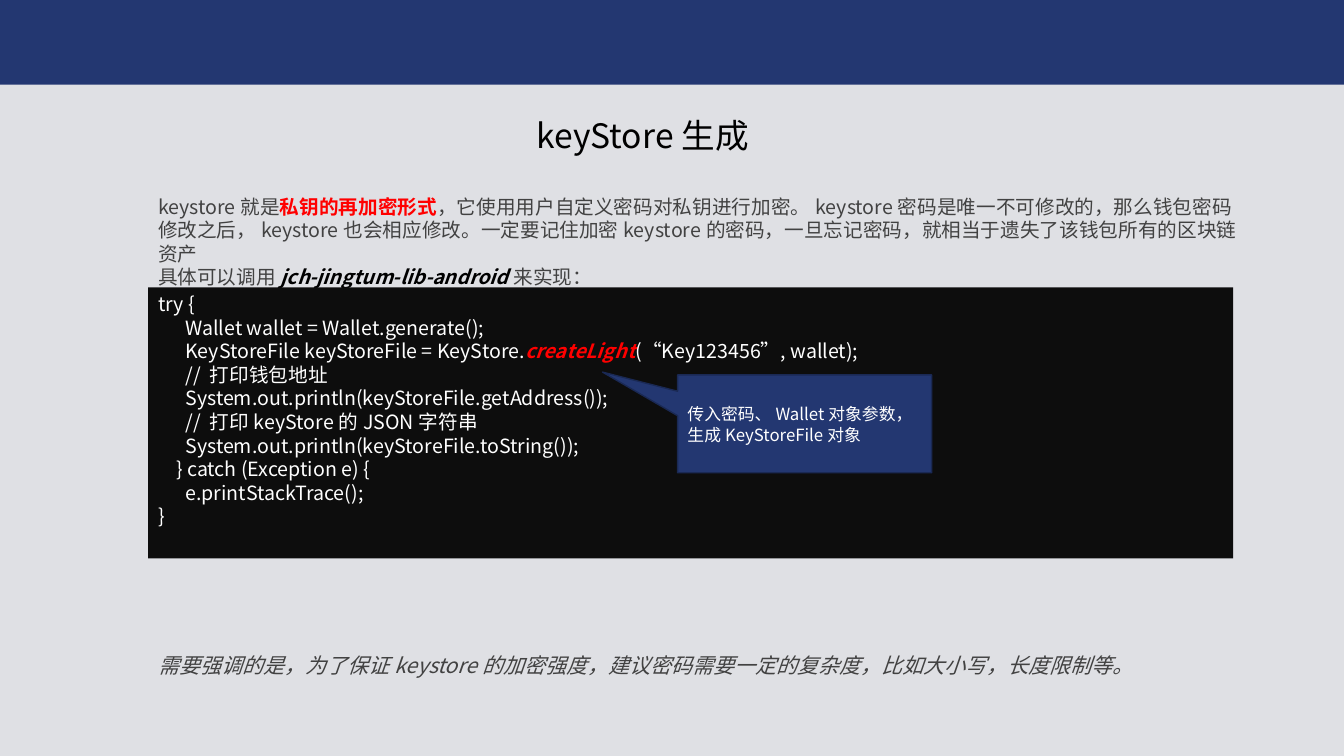
from lxml import etree
from pptx import Presentation
from pptx.dml.color import RGBColor
from pptx.enum.shapes import MSO_SHAPE
from pptx.enum.text import MSO_ANCHOR, PP_ALIGN
from pptx.oxml.ns import qn
from pptx.util import Inches, Pt

RECTANGLE, CALLOUT = MSO_SHAPE.RECTANGLE, MSO_SHAPE.RECTANGULAR_CALLOUT
TOP, MIDDLE = MSO_ANCHOR.TOP, MSO_ANCHOR.MIDDLE
LEFT, CENTER = PP_ALIGN.LEFT, PP_ALIGN.CENTER

FONT = "Noto Sans CJK SC"
NAVY = RGBColor(0x23, 0x37, 0x71)
NAVY_EDGE = RGBColor(0x1A, 0x29, 0x54)
MIST = RGBColor(0xDE, 0xDF, 0xE3)
GREY = RGBColor(0x42, 0x42, 0x42)
RED = RGBColor(0xFF, 0x00, 0x00)
BLACK = RGBColor(0x00, 0x00, 0x00)
CODE_BLACK = RGBColor(0x0D, 0x0D, 0x0D)
WHITE = RGBColor(0xFF, 0xFF, 0xFF)

INTRO = [
    (0, [("keystore就是", {}),
         ("私钥的再加密形式", {"color": RED, "bold": True}),
         ("，它使用用户自定义密码对私钥进行加密。keystore密码是唯一不可修改的，"
          "那么钱包密码修改之后，keystore也会相应修改。一定要记住加密keystore的密码，"
          "一旦忘记密码，就相当于遗失了该钱包所有的区块链资产", {})]),
    (0, [("具体可以调用", {}),
         ("jch-jingtum-lib-android", {"color": BLACK, "bold": True, "italic": True}),
         ("来实现：", {})]),
]
CODE = [
    (0, [("try {", {})]),
    (0.27, [("Wallet wallet = Wallet.generate();", {})]),
    (0.27, [("KeyStoreFile keyStoreFile = KeyStore.", {}),
            ("createLight", {"color": RED, "bold": True, "italic": True}),
            ("(“Key123456”, wallet);", {})]),
    (0.27, [("// 打印钱包地址", {})]),
    (0.27, [("System.out.println(keyStoreFile.getAddress());", {})]),
    (0.27, [("// 打印keyStore的JSON字符串", {})]),
    (0.27, [("System.out.println(keyStoreFile.toString());", {})]),
    (0.18, [("} catch (Exception e) {", {})]),
    (0.27, [("e.printStackTrace();", {})]),
    (0, [("}", {})]),
]
CALLOUT_NOTE = [(0, [("传入密码、Wallet对象参数，生成KeyStoreFile对象", {})])]
TITLE = [(0, [("keyStore生成", {})])]
ADVICE = [(0, [("需要强调的是，为了保证keystore的加密强度，建议密码需要一定的复杂度，"
                "比如大小写，长度限制等。", {"italic": True})])]


def add_span(para, text, size, color, bold=False, italic=False):
    """Add one run with its font for Latin and Chinese text."""
    span = para.add_run()
    span.text = text
    font = span.font
    font.name, font.size, font.bold, font.italic = FONT, Pt(size), bold, italic
    font.color.rgb = color
    east_asian = etree.Element(qn("a:ea"), typeface=FONT)
    font._element.find(qn("a:latin")).addnext(east_asian)


def write(shape, lines, size, color, align=LEFT, anchor=TOP, pitch=1.2):
    """Fill a shape with indented lines of styled runs."""
    frame = shape.text_frame
    frame.word_wrap = True
    frame.vertical_anchor = anchor
    for index, (indent, spans) in enumerate(lines):
        para = frame.add_paragraph() if index else frame.paragraphs[0]
        para.alignment = align
        para.line_spacing = Pt(round(size * pitch, 1))
        if indent:
            para._p.get_or_add_pPr().set("marL", str(Inches(indent)))
        for text, style in spans:
            add_span(para, text, size, **{"color": color, **style})


def add_panel(page, box, fill, kind=RECTANGLE, edge=None):
    """Add a flat filled shape, with an edge if one is given."""
    panel = page.shapes.add_shape(kind, *map(Inches, box))
    panel.shadow.inherit = False
    panel.fill.solid()
    panel.fill.fore_color.rgb = fill
    if edge is None:
        panel.line.fill.background()
    else:
        panel.line.color.rgb = edge
        panel.line.width = Pt(1)
    return panel


def add_text(page, box, lines, size, color, align=LEFT):
    """Add a text box."""
    label = page.shapes.add_textbox(*map(Inches, box))
    write(label, lines, size, color, align)


def add_backdrop(page, box):
    """Add the pale body and the navy band along the top."""
    left, top, width, height = box
    body = add_panel(page, (left, top + 0.67, width, height - 0.67), MIST)
    color = body.fill._xPr.find(qn("a:solidFill"))[0]
    etree.SubElement(color, qn("a:alpha"), val="96000")
    add_panel(page, (left, top, width, 0.84), NAVY)


def add_code(page, box):
    """Add the code panel with its callout."""
    left, top, width, height = box
    write(add_panel(page, box, CODE_BLACK), CODE, 14, WHITE)
    callout = add_panel(page, (left + 5.25, top + 0.87, 2.52, 0.97),
                        NAVY, CALLOUT, NAVY_EDGE)
    callout.adjustments[0], callout.adjustments[1] = -0.795, -0.529
    write(callout, CALLOUT_NOTE, 12, WHITE, anchor=MIDDLE, pitch=1.25)


def build_page(page, box):
    """Place every region of the keyStore page."""
    left, top = box[:2]
    margin = left + 1.47
    add_backdrop(page, box)
    add_text(page, (margin, top + 1.88, 11, 0.81), INTRO, 14, GREY)
    add_text(page, (left + 4.91, top + 1.09, 2.93, 0.91), TITLE, 24, BLACK, CENTER)
    add_code(page, (margin, top + 2.85, 10.76, 2.69))
    add_text(page, (margin, top + 6.42, 9.94, 0.35), ADVICE, 15, GREY)


def main():
    """Build and save the deck."""
    deck = Presentation()
    deck.slide_width, deck.slide_height = Inches(13.33), Inches(7.5)
    page = deck.slides.add_slide(deck.slide_layouts[6])
    build_page(page, (0, 0, 13.33, 7.5))
    deck.save("out.pptx")


main()
